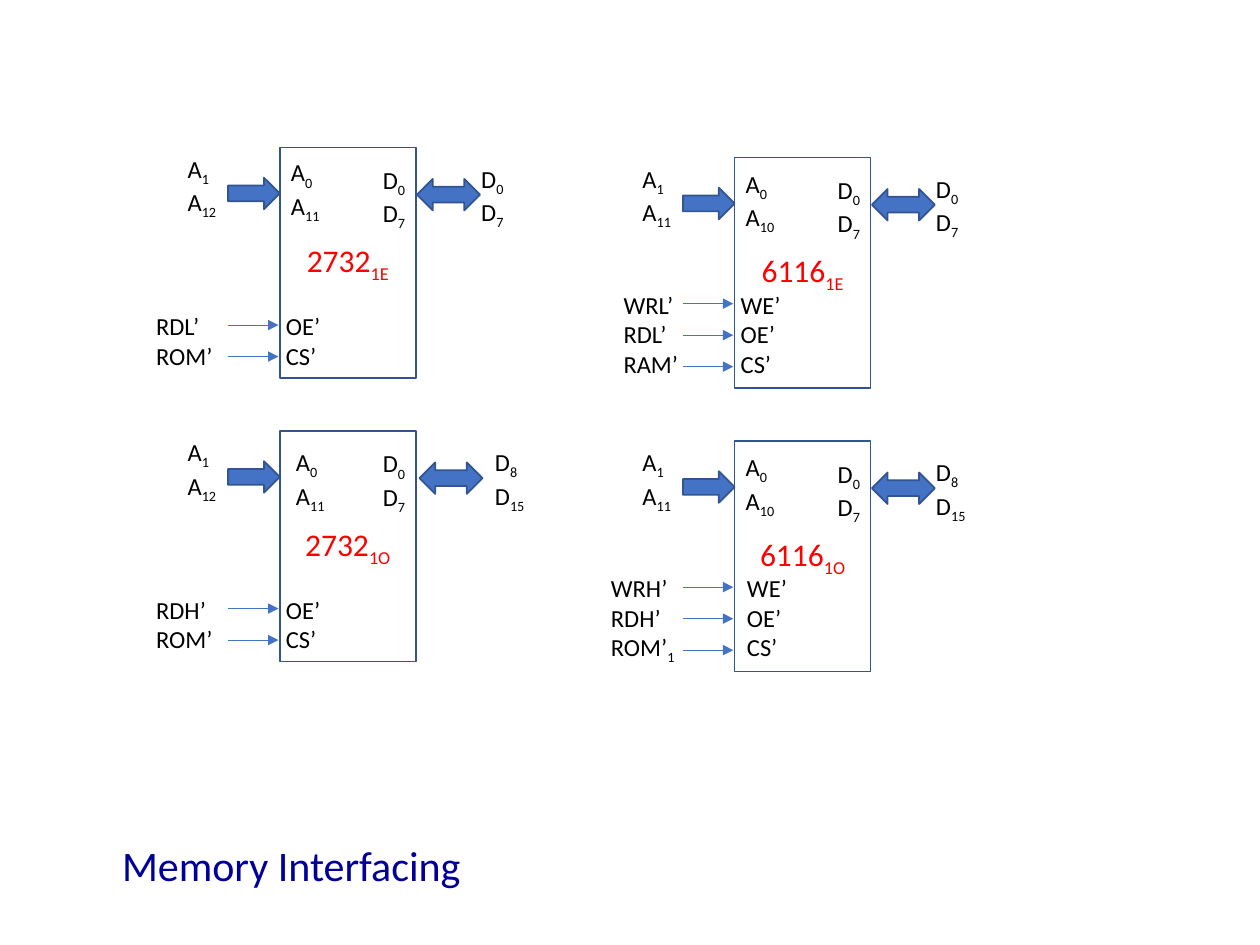
from dataclasses import dataclass

from lxml import etree
from pptx import Presentation
from pptx.dml.color import RGBColor
from pptx.enum.shapes import MSO_CONNECTOR, MSO_SHAPE
from pptx.enum.text import MSO_ANCHOR, MSO_AUTO_SIZE, PP_ALIGN
from pptx.oxml.ns import qn
from pptx.util import Inches, Pt

RECTANGLE = MSO_SHAPE.RECTANGLE
RIGHT_ARROW = MSO_SHAPE.RIGHT_ARROW
TWO_WAY_ARROW = MSO_SHAPE.LEFT_RIGHT_ARROW
STRAIGHT = MSO_CONNECTOR.STRAIGHT
MIDDLE = MSO_ANCHOR.MIDDLE
CENTER, LEFT = PP_ALIGN.CENTER, PP_ALIGN.LEFT
GROW = MSO_AUTO_SIZE.SHAPE_TO_FIT_TEXT


def color(value):
    return RGBColor.from_string(value)


@dataclass
class Chip:
    name: str
    left: float
    top: float
    address: list
    address_width: float
    address_pins: list
    address_pins_shift: tuple
    data: list
    data_width: float
    data_shift: float
    bus_shift: float
    signals: list
    signals_shift: float
    signals_width: float
    control_pins: list
    control_shift: float
    control_width: float
    data_wraps: bool = False


class Diagram:
    font = "Calibri"
    blue, outline = "4472C4", "325491"
    black, red, navy = "000000", "FF0000", "000099"

    def __init__(self, slide):
        self.shapes = slide.shapes

    def set_lines(self, frame, lines, size, ink, align=LEFT):
        for index, line in enumerate(lines):
            paragraph = frame.paragraphs[0] if index == 0 else frame.add_paragraph()
            paragraph.alignment = align
            paragraph.font.name = self.font
            paragraph.font.size = Pt(size)
            paragraph.font.color.rgb = color(ink)
            base, _, subscript = line.partition("_")
            paragraph.add_run().text = base
            if subscript:
                run = paragraph.add_run()
                run.text = subscript
                run._r.get_or_add_rPr().set("baseline", "-25000")

    def label(self, left, top, width, height, lines, size=14, ink=black, wrap=False):
        box = self.shapes.add_textbox(Inches(left), Inches(top), Inches(width), Inches(height))
        frame = box.text_frame
        frame.word_wrap = wrap
        frame.auto_size = GROW
        self.set_lines(frame, lines, size, ink)

    def block(self, kind, left, top, width, height, fill=None):
        shape = self.shapes.add_shape(kind, Inches(left), Inches(top), Inches(width), Inches(height))
        shape.shadow.inherit = False
        if fill:
            shape.fill.solid()
            shape.fill.fore_color.rgb = color(fill)
        else:
            shape.fill.background()
        shape.line.color.rgb = color(self.outline)
        shape.line.width = Pt(1)
        return shape

    def signal_arrow(self, left, right, y):
        wire = self.shapes.add_connector(STRAIGHT, Inches(left), Inches(y), Inches(right), Inches(y))
        wire.line.color.rgb = color(self.blue)
        wire.line.width = Pt(0.5)
        properties = wire._element.spPr
        etree.SubElement(properties.find(qn("a:ln")), qn("a:tailEnd"), type="triangle")
        etree.SubElement(properties, qn("a:effectLst"))

    def chip(self, chip):
        x, y = chip.left, chip.top
        body = self.block(RECTANGLE, x, y, 1.08, 1.83)
        body.text_frame.vertical_anchor = MIDDLE
        self.set_lines(body.text_frame, [chip.name], 18, self.red, CENTER)

        self.block(TWO_WAY_ARROW, x + chip.bus_shift, y + 0.25, 0.5, 0.25, self.blue)
        self.label(x + 0.72, y + 0.09, 0.41, 0.57, ["D_0", "D_7"])
        self.label(x + chip.data_shift, y + 0.08, chip.data_width, 0.57, chip.data,
                   wrap=chip.data_wraps)

        self.block(RIGHT_ARROW, x - 0.41, y + 0.24, 0.41, 0.25, self.blue)
        pins_x, pins_y = chip.address_pins_shift
        self.label(x + pins_x, y + pins_y, chip.address_width, 0.57, chip.address_pins)
        self.label(x - 0.83, y, chip.address_width, 0.57, chip.address)

        count = len(chip.signals)
        controls_top = y + 1.75 - 0.25 * count
        controls_height = 0.09 + 0.24 * count
        self.label(x + chip.control_shift, controls_top, chip.control_width,
                   controls_height, chip.control_pins)
        self.label(x + chip.signals_shift, controls_top, chip.signals_width,
                   controls_height, chip.signals)
        for row in range(count):
            self.signal_arrow(x - 0.41, x - 0.01, controls_top + 0.16 + 0.25 * row)


rom = dict(left=2.22, address=["A_1", "A_12"], address_width=0.45,
           address_pins=["A_0", "A_11"], signals_shift=-1.08, signals_width=0.65,
           control_pins=["OE’", "CS’"], control_shift=-0.05, control_width=0.51)
ram = dict(left=5.83, address=["A_1", "A_11"], address_width=0.46,
           address_pins=["A_0", "A_10"], address_pins_shift=(-0.01, 0.04),
           data_shift=1.5, bus_shift=1.09,
           control_pins=["WE’", "OE’", "CS’"], control_width=0.55)
low_byte, high_byte = ["D_0", "D_7"], ["D_8", "D_15"]

chips = [
    Chip(name="2732_1E", top=1.17, address_pins_shift=(-0.01, 0.03), data=low_byte,
         data_width=0.41, data_shift=1.5, bus_shift=1.09, signals=["RDL’", "ROM’"], **rom),
    Chip(name="2732_1O", top=3.42, address_pins_shift=(0.03, 0.08), data=high_byte,
         data_width=0.67, data_shift=1.61, bus_shift=1.11, signals=["RDH’", "ROM’"],
         data_wraps=True, **rom),
    Chip(name="6116_1E", top=1.25, data=low_byte, data_width=0.41,
         signals=["WRL’", "RDL’", "RAM’"], signals_shift=-0.98, signals_width=0.65,
         control_shift=-0.05, **ram),
    Chip(name="6116_1O", top=3.5, data=high_byte, data_width=0.48,
         signals=["WRH’", "RDH’", "ROM’_1"], signals_shift=-1.08, signals_width=0.73,
         control_shift=0, **ram),
]

presentation = Presentation()
presentation.slide_width = Inches(10)
presentation.slide_height = Inches(7.5)
diagram = Diagram(presentation.slides.add_slide(presentation.slide_layouts[6]))
for memory in chips:
    diagram.chip(memory)
diagram.label(0.87, 6.61, 4.32, 0.51, ["Memory Interfacing"], 24, Diagram.navy, wrap=True)
presentation.save("out.pptx")
